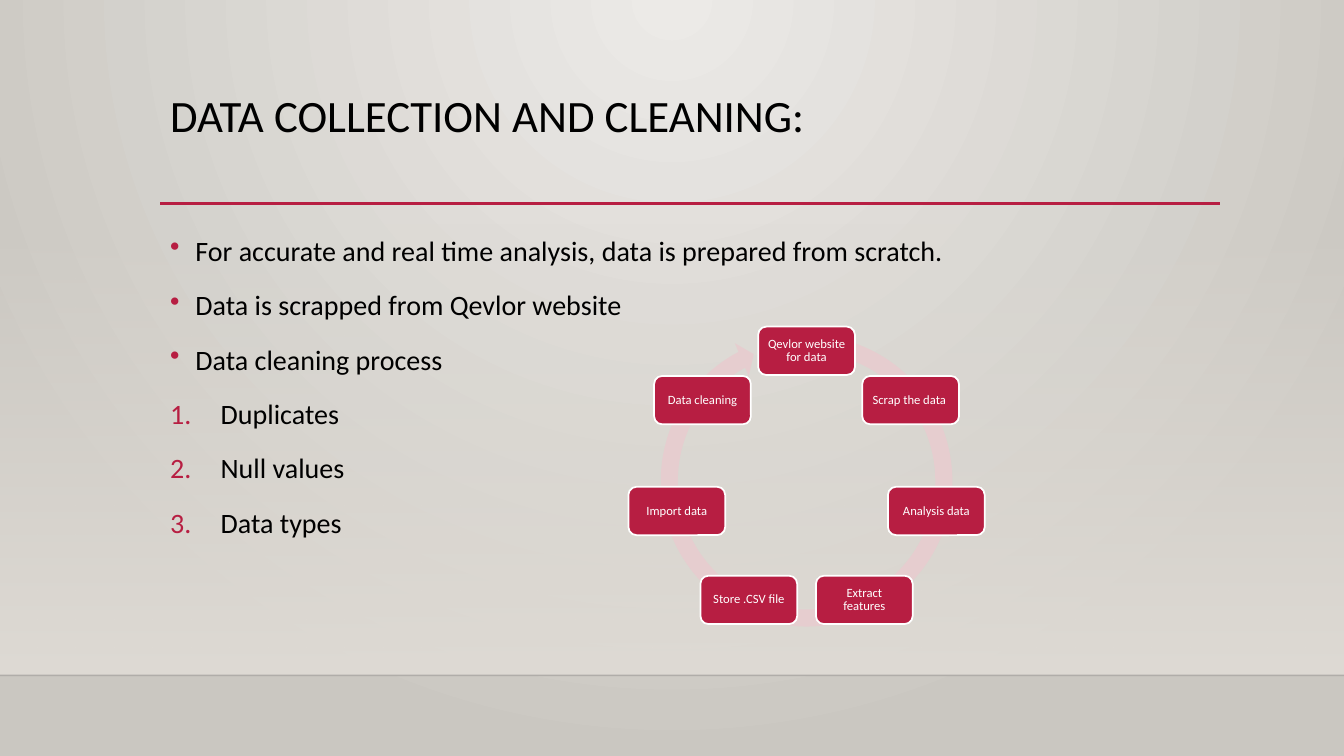
from math import cos, pi, sin

from lxml.etree import SubElement
from pptx import Presentation
from pptx.dml.color import RGBColor
from pptx.enum.shapes import MSO_CONNECTOR, MSO_SHAPE
from pptx.enum.text import MSO_ANCHOR, PP_ALIGN
from pptx.oxml.ns import qn
from pptx.util import Inches, Pt

THEME = {
    "font": "Calibri",
    "title_size": Pt(32), "body_size": Pt(20), "node_size": Pt(9),
    "text": RGBColor.from_string("000000"),
    "white": RGBColor.from_string("FFFFFF"),
    "accent": RGBColor.from_string("B71E42"),
    "ring": RGBColor.from_string("E6CDCF"),
    "glow": RGBColor.from_string("ECEAE7"),
    "edge": RGBColor.from_string("CAC7C1"),
    "wall": RGBColor.from_string("DFDBD5"),
    "floor_line": RGBColor.from_string("000001"),
}

presentation = Presentation()
presentation.slide_width = Inches(13.33)
presentation.slide_height = Inches(7.5)
slide = presentation.slides.add_slide(presentation.slide_layouts[6])

# Grid shared by the title, the rule and the list
LEFT, COLUMN_WIDTH = Inches(1.59), Inches(10.5)
FLOOR = Inches(6.7)


def write(frame, lines, size, color, frame_format, paragraph_format):
    """Fill a text frame with one paragraph per line and return the paragraphs."""
    for name, value in frame_format.items():
        setattr(frame, name, value)
    for index, line in enumerate(lines):
        paragraph = frame.paragraphs[0] if index == 0 else frame.add_paragraph()
        for name, value in paragraph_format.items():
            setattr(paragraph, name, value)
        run = paragraph.add_run()
        run.text = line
        run.font.name, run.font.size = THEME["font"], size
        run.font.color.rgb = color
    return frame.paragraphs


def draw_rule(y, right, left, color, weight):
    """Draw a horizontal line without a shadow."""
    rule = slide.shapes.add_connector(MSO_CONNECTOR.STRAIGHT, left, y, right, y)
    rule.line.color.rgb, rule.line.width = color, weight
    SubElement(rule._element.spPr, qn("a:effectLst"))
    return rule


# Background: a glow from the top centre
background_fill = slide.background.fill
background_fill.gradient()
for stop, color in zip(background_fill.gradient_stops, ("glow", "edge")):
    stop.color.rgb = THEME[color]
gradient = next(slide._element.iter(qn("a:gradFill")))
gradient.remove(gradient.find(qn("a:lin")))
glow_shape = SubElement(gradient, qn("a:path"), {"path": "circle"})
SubElement(glow_shape, qn("a:fillToRect"),
           {"l": "43000", "t": "0", "r": "43000", "b": "100000"})

# Wall that fades in down to the floor line
wall_top = Inches(2.21)
wall = slide.shapes.add_shape(MSO_SHAPE.RECTANGLE, 0, wall_top,
                              presentation.slide_width, FLOOR - wall_top)
wall.shadow.inherit = False
wall.line.fill.background()
wall.fill.gradient()
wall.fill.gradient_angle = 270
for stop in wall.fill.gradient_stops:
    stop.color.rgb = THEME["wall"]
clear_color = next(wall._element.iter(qn("a:srgbClr")))
SubElement(clear_color, qn("a:alpha"), {"val": "0"})

floor_line = draw_rule(FLOOR, presentation.slide_width, 0, THEME["floor_line"], Pt(1))
line_color = next(floor_line._element.iter(qn("a:srgbClr")))
SubElement(line_color, qn("a:alpha"), {"val": "20000"})

# Title and its rule
draw_rule(Inches(2.02), Inches(12.1), LEFT, THEME["accent"], Pt(2.5))
title = slide.shapes.add_textbox(LEFT, Inches(0.88), COLUMN_WIDTH, Inches(1.15))
write(title.text_frame, ["DATA COLLECTION AND CLEANING:"], THEME["title_size"],
      THEME["text"], {"word_wrap": True}, {"line_spacing": 0.9})

# List: bullets, then numbered steps
bullets = ["For accurate and real time analysis, data is prepared from scratch.",
           "Data is scrapped from Qevlor website",
           "Data cleaning process"]
steps = ["Duplicates", "Null values", "Data types"]
body = slide.shapes.add_textbox(LEFT, Inches(2.2), COLUMN_WIDTH, Inches(3.77))
paragraphs = write(body.text_frame, bullets + steps, THEME["body_size"], THEME["text"],
                   {"word_wrap": True}, {"line_spacing": 1.2, "space_before": Pt(10)})
for index, paragraph in enumerate(paragraphs):
    is_bullet = index < len(bullets)
    indent = Inches(0.25 if is_bullet else 0.5)
    properties = paragraph._p.get_or_add_pPr()
    properties.set("marL", str(indent))
    properties.set("indent", str(-indent))
    marker_color = SubElement(properties, qn("a:buClr"))
    SubElement(marker_color, qn("a:srgbClr"), {"val": str(THEME["accent"])})
    if is_bullet:
        SubElement(properties, qn("a:buChar"), {"char": "•"})
    else:
        SubElement(properties, qn("a:buAutoNum"), {"type": "arabicPeriod"})

# Cycle: ring arrow behind the stages
ring_size = Inches(3.08)
ring = slide.shapes.add_shape(MSO_SHAPE.CIRCULAR_ARROW, Inches(6.46), Inches(3.23),
                              ring_size, ring_size)
ring.shadow.inherit = False
ring.fill.solid()
ring.fill.fore_color.rgb = THEME["ring"]
ring.line.fill.background()
for index, value in enumerate((0.055, 3.307, 145.108, 169.531, 0.058)):
    ring.adjustments[index] = value

# Stages at equal angles, clockwise from the top
stages = ["Qevlor website for data", "Scrap the data ", "Analysis data",
          "Extract features", "Store .CSV file", "Import data", "Data cleaning"]
center_x, center_y = Inches(8), Inches(4.78)
radius_x, radius_y = Inches(1.32), Inches(1.3)
stage_width, stage_height = Inches(0.96), Inches(0.48)
stage_frame = dict.fromkeys(
    ("margin_left", "margin_right", "margin_top", "margin_bottom"), Inches(0.06))
stage_frame.update(word_wrap=True, vertical_anchor=MSO_ANCHOR.MIDDLE)
for index, stage in enumerate(stages):
    angle = 2 * pi * index / len(stages)
    node = slide.shapes.add_shape(
        MSO_SHAPE.ROUNDED_RECTANGLE,
        int(center_x + radius_x * sin(angle) - stage_width / 2),
        int(center_y - radius_y * cos(angle) - stage_height / 2),
        stage_width, stage_height)
    node.shadow.inherit = False
    node.fill.solid()
    node.fill.fore_color.rgb = THEME["accent"]
    node.line.color.rgb, node.line.width = THEME["white"], Pt(1.25)
    write(node.text_frame, [stage], THEME["node_size"], THEME["white"], stage_frame,
          {"alignment": PP_ALIGN.CENTER, "line_spacing": 0.9})

presentation.save("out.pptx")
